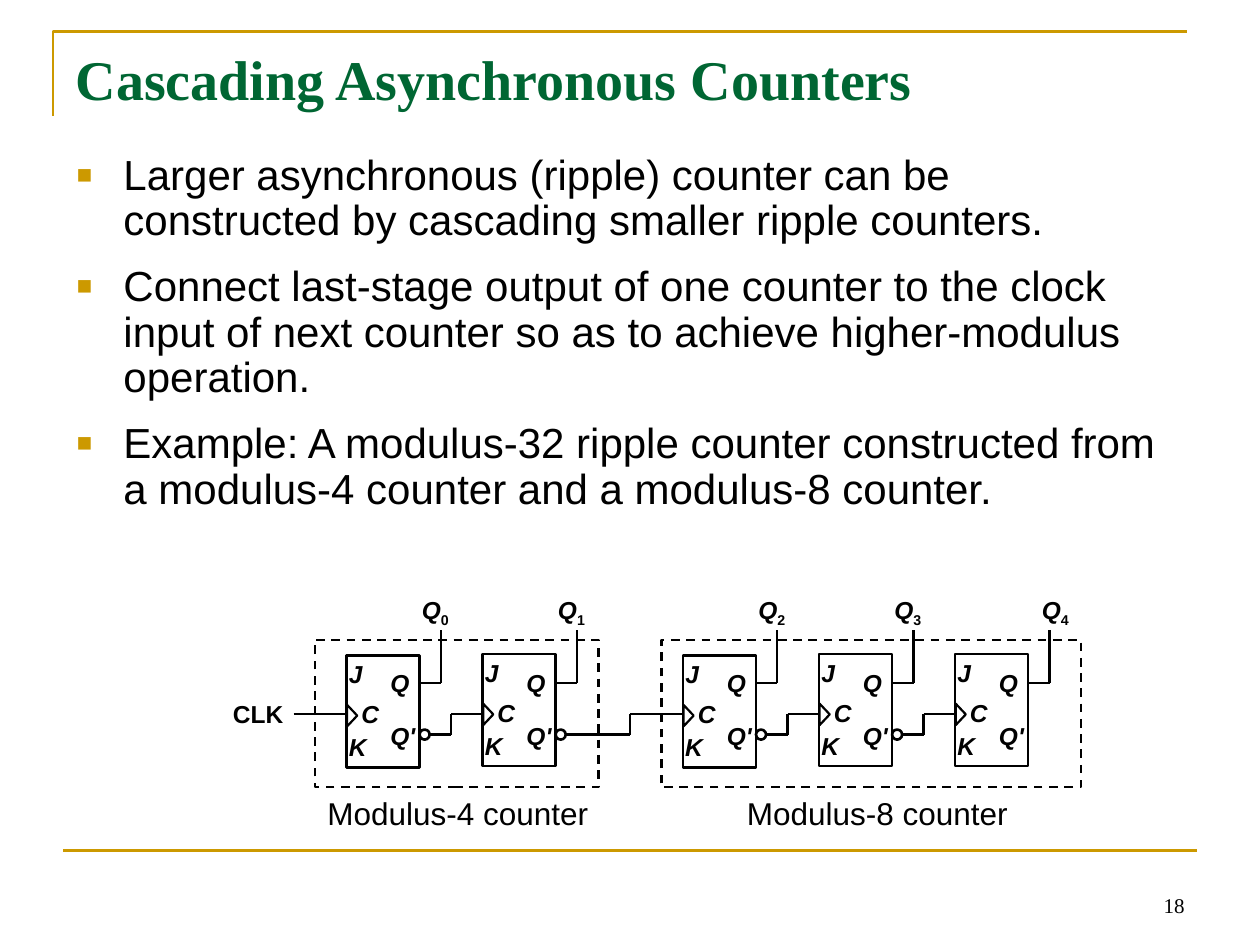
from lxml import etree
from pptx import Presentation
from pptx import util as u
from pptx.dml.color import RGBColor
from pptx.enum import dml, shapes, text
from pptx.oxml.ns import qn

GOLD = RGBColor(0xCC, 0x99, 0x00)
GREEN = RGBColor(0x00, 0x66, 0x33)
BLACK = RGBColor(0x00, 0x00, 0x00)
SANS, SERIF = "Arial", "Times New Roman"
BULLETS = [
    "Larger asynchronous (ripple) counter can be constructed by cascading smaller ripple counters.",
    "Connect last-stage output of one counter to the clock input of next counter so as to "
    "achieve higher-modulus operation.",
    "Example: A modulus-32 ripple counter constructed from a modulus-4 counter and a modulus-8 counter.",
]
PITCH = 1.08
FF_W, FF_H = 0.58, 0.89


def place(sp, x, y, w, h):
    sp.left, sp.top, sp.width, sp.height = (u.Inches(v) for v in (x, y, w, h))


def add_run(p, words, size, font=SANS, color=BLACK, bold=False, italic=False):
    r = p.add_run()
    r.text = words
    f = r.font
    f.size, f.name, f.bold, f.italic = u.Pt(size), font, bold, italic
    f.color.rgb = color
    return r


def add_text(s, x, y, w, h, wrap=False):
    sp = s.shapes.add_textbox(*(u.Inches(v) for v in (x, y, w, h)))
    tf = sp.text_frame
    tf.word_wrap = wrap
    if not wrap:
        tf.auto_size = text.MSO_AUTO_SIZE.SHAPE_TO_FIT_TEXT
    return tf


def add_label(s, x, y, w, words, italic=True, sub=None):
    p = add_text(s, x, y, w, 0.37 if sub else 0.34).paragraphs[0]
    add_run(p, words, 14, bold=True, italic=italic)
    if sub:
        r = add_run(p, sub, 14, bold=True)
        r.font._element.set("baseline", "-25000")


def add_outline(s, kind, x, y, w, h, width=1.5):
    sp = s.shapes.add_shape(kind, *(u.Inches(v) for v in (x, y, w, h)))
    sp.shadow.inherit = False
    sp.fill.background()
    sp.line.color.rgb = BLACK
    sp.line.width = u.Pt(width)
    return sp


def add_wire(s, *points, color=BLACK, width=1.25):
    for start, end in zip(points, points[1:]):
        c = s.shapes.add_connector(shapes.MSO_CONNECTOR.STRAIGHT,
                                   *(u.Inches(v) for v in start + end))
        c.line.color.rgb = color
        c.line.width = u.Pt(width)
        etree.SubElement(c._element.spPr, qn("a:effectLst"))


def add_frame(s, x, y, w, h):
    fb = s.shapes.build_freeform(u.Inches(x), u.Inches(y + 0.67))
    fb.add_line_segments([(u.Inches(x), u.Inches(y)), (u.Inches(x + w), u.Inches(y))], close=False)
    sp = fb.convert_to_shape()
    sp.shadow.inherit = False
    sp.fill.background()
    sp.line.color.rgb = GOLD
    sp.line.width = u.Pt(1.5)
    add_wire(s, (x + 0.08, y + h), (x + 0.08 + w, y + h), color=GOLD, width=1.5)


def add_page_number(s, x, y, w, h):
    tf = add_text(s, x, y, w, h, wrap=True)
    tf.vertical_anchor = text.MSO_ANCHOR.BOTTOM
    p = tf.paragraphs[0]
    p.alignment = text.PP_ALIGN.RIGHT
    add_run(p, "18", 12, SERIF)


def fill_title(s, x, y, w, h):
    sp = s.shapes.title
    place(sp, x, y, w, h)
    tf = sp.text_frame
    tf.auto_size = text.MSO_AUTO_SIZE.NONE
    tf.vertical_anchor = text.MSO_ANCHOR.TOP
    p = tf.paragraphs[0]
    p.alignment = text.PP_ALIGN.LEFT
    add_run(p, "Cascading Asynchronous Counters", 32, SERIF, GREEN, bold=True)


def add_bullet(p):
    pPr = p._p.get_or_add_pPr()
    pPr.set("marL", str(u.Inches(0.38)))
    pPr.set("indent", str(-u.Inches(0.38)))
    color = etree.SubElement(pPr, qn("a:buClr"))
    etree.SubElement(color, qn("a:srgbClr"), val=str(GOLD))
    etree.SubElement(pPr, qn("a:buSzPct"), val="120000")
    etree.SubElement(pPr, qn("a:buFont"), typeface=SANS)
    etree.SubElement(pPr, qn("a:buChar"), char="▪")


def fill_body(s, x, y, w, h):
    sp = s.placeholders[1]
    place(sp, x, y, w, h)
    tf = sp.text_frame
    tf.auto_size = text.MSO_AUTO_SIZE.NONE
    for i, words in enumerate(BULLETS):
        p = tf.add_paragraph() if i else tf.paragraphs[0]
        add_bullet(p)
        p.line_spacing = 0.9
        p.space_before = u.Pt(12 if i else 0)
        add_run(p, words, 24)


def add_flip_flop(s, x, y, drop, index, last):
    top = y + 0.52 + drop
    add_outline(s, shapes.MSO_SHAPE.RECTANGLE, x, top, FF_W, FF_H)
    clock = add_outline(s, shapes.MSO_SHAPE.ISOSCELES_TRIANGLE, x - 0.04, top + 0.44, 0.17, 0.08, 1.25)
    clock.rotation = 90
    for words, dx, dy, w in (("J", -0.08, -0.02, 0.31), ("K", -0.08, 0.56, 0.34), ("C", 0.02, 0.3, 0.34)):
        add_label(s, x + dx, top + dy, w, words)
    add_label(s, x + 0.25, y + 0.58, 0.35, "Q")
    add_label(s, x + 0.25, y + 1, 0.4, "Q'")
    add_wire(s, (x + FF_W, y + 0.75), (x + 0.75, y + 0.75), (x + 0.75, y + 0.33))
    add_label(s, x + (0.59 if last else 0.5), y, 0.44, "Q", sub=str(index))
    if not last:
        add_outline(s, shapes.MSO_SHAPE.OVAL, x + FF_W, y + 1.12, 0.08, 0.08)


def add_counter(s, x, y, w, modulus, first, count, total, caption_dx):
    box = add_outline(s, shapes.MSO_SHAPE.RECTANGLE, x, y + 0.41, w, 1.17, 1.25)
    box.line.dash_style = dml.MSO_LINE.DASH
    lefts = [x + (0.25 if first == 0 else 0.17) + i * PITCH for i in range(count)]
    for i, left in enumerate(lefts):
        add_flip_flop(s, left, y, 0.01 if i == 0 else 0, first + i, first + i == total - 1)
    tf = add_text(s, x + caption_dx, y + 1.58, 2.33, 0.4, wrap=True)
    add_run(tf.paragraphs[0], f"Modulus-{modulus} counter", 18)
    return lefts


def add_circuit(s, x, y):
    add_label(s, x, y + 0.83, 0.6, "CLK", italic=False)
    lefts = add_counter(s, x + 0.75, y, 2.25, 4, 0, 2, 5, 0)
    lefts += add_counter(s, x + 3.5, y, 3.33, 8, 2, 3, 5, 0.58)
    high, low = y + 1, y + 1.16
    add_wire(s, (x + 0.58, high), (lefts[0], high))
    for i, (a, b) in enumerate(zip(lefts, lefts[1:])):
        bend = b - (0.42 if i == 1 else 0.25)
        add_wire(s, (a + 0.66, low), (bend, low), (bend, high), (b, high))


def main():
    prs = Presentation()
    prs.slide_width, prs.slide_height = u.Inches(10), u.Inches(7.5)
    s = prs.slides.add_slide(prs.slide_layouts[1])
    add_frame(s, 0.42, 0.25, 9, 6.5)
    add_page_number(s, 7.17, 6.83, 2.33, 0.5)
    fill_title(s, 0.5, 0.3, 9, 1.25)
    fill_body(s, 0.5, 1.17, 8.82, 3.19)
    add_circuit(s, 1.75, 4.67)
    prs.save("out.pptx")


if __name__ == "__main__":
    main()
